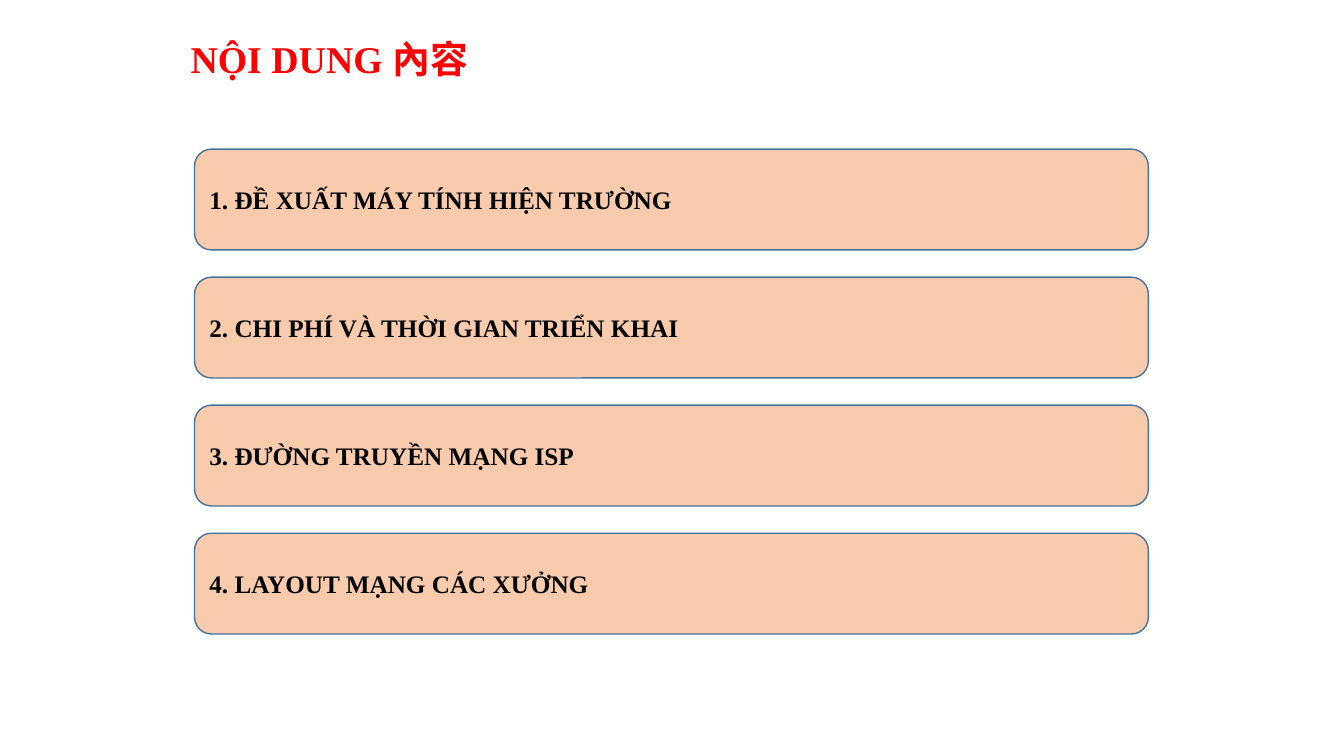
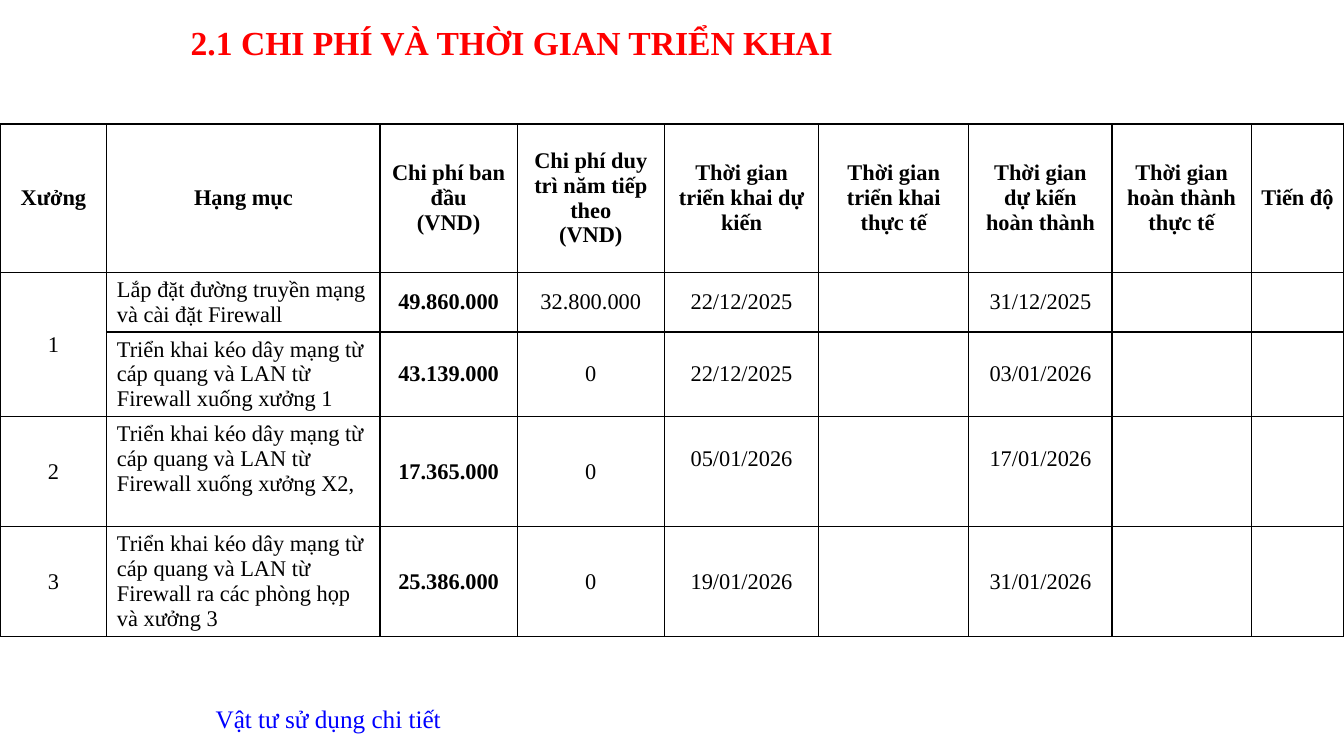
from lxml import etree
from pptx import Presentation
from pptx.dml.color import RGBColor
from pptx.enum.shapes import MSO_SHAPE
from pptx.enum.text import MSO_ANCHOR, MSO_AUTO_SIZE, PP_ALIGN
from pptx.oxml.ns import qn
from pptx.util import Pt

PX = 9144
FONT = "Times New Roman"
LEFT, CENTER = PP_ALIGN.LEFT, PP_ALIGN.CENTER
MIDDLE = MSO_ANCHOR.MIDDLE
ROUND = MSO_SHAPE.ROUNDED_RECTANGLE
COLORS = {"red": "FF0000", "black": "000000", "blue": "0000FF",
          "peach": "F8CBAD", "steel": "43739E"}


def style(frame, size, color, bold=False, align=LEFT):
    for para in frame.paragraphs:
        para.alignment = align
        para.font.name = FONT
        para.font.size = Pt(size)
        para.font.bold = bold
        para.font.color.rgb = RGBColor.from_string(COLORS[color])


def add_slide(title, top, width, size):
    slide = deck.slides.add_slide(deck.slide_layouts[5])
    head = slide.shapes.title
    head.left, head.top = 179 * PX, top * PX
    head.width, head.height = width * PX, 88 * PX
    frame = head.text_frame
    frame.text = title
    frame.auto_size = MSO_AUTO_SIZE.NONE
    frame.vertical_anchor = MIDDLE
    frame.paragraphs[0].line_spacing = 0.9
    style(frame, size, "red", True)
    return slide


deck = Presentation()
deck.slide_width, deck.slide_height = 1333 * PX, 750 * PX

slide = add_slide("NỘI DUNG 內容", 17, 1150, 27)
topics = ["ĐỀ XUẤT MÁY TÍNH HIỆN TRƯỜNG", "CHI PHÍ VÀ THỜI GIAN TRIỂN KHAI",
          "ĐƯỜNG TRUYỀN MẠNG ISP", "LAYOUT MẠNG CÁC XƯỞNG"]
for i, topic in enumerate(topics):
    box = slide.shapes.add_shape(ROUND, 193 * PX, (148 + 127 * i) * PX, 946 * PX, 100 * PX)
    box.shadow.inherit = False
    box.fill.solid()
    box.fill.fore_color.rgb = RGBColor.from_string(COLORS["peach"])
    box.line.color.rgb = RGBColor.from_string(COLORS["steel"])
    box.line.width = Pt(1)
    box.text_frame.text = f"{i + 1}. {topic}"
    box.text_frame.vertical_anchor = MIDDLE
    style(box.text_frame, 18, "black", True)

slide = add_slide("2.1 CHI PHÍ VÀ THỜI GIAN TRIỂN KHAI", 0, 1013, 24)
cols = [106, 271, 136, 146, 153, 149, 142, 138, 92]
rows = [147, 59, 84, 109, 109]
cable = "Triển khai kéo dây mạng từ cáp quang và LAN từ Firewall "
data = [
    ["Xưởng", "Hạng mục", "Chi phí ban đầu\n(VND)", "Chi phí duy trì năm tiếp theo\n(VND)",
     "Thời gian triển khai dự kiến", "Thời gian triển khai thực tế",
     "Thời gian dự kiến hoàn thành", "Thời gian hoàn thành thực tế", "Tiến độ"],
    ["1", "Lắp đặt đường truyền mạng và cài đặt Firewall",
     "49.860.000", "32.800.000", "22/12/2025", "", "31/12/2025", "", ""],
    ["", cable + "xuống xưởng 1",
     "43.139.000", "0", "22/12/2025", "", "03/01/2026", "", ""],
    ["2", cable + "xuống xưởng X2,",
     "17.365.000", "0", "05/01/2026", "", "17/01/2026", "", ""],
    ["3", cable + "ra các phòng họp và xưởng 3",
     "25.386.000", "0", "19/01/2026", "", "31/01/2026", "", ""],
]
table = slide.shapes.add_table(len(rows), len(cols), 0, 123 * PX,
                               sum(cols) * PX, sum(rows) * PX).table
for col, width in zip(table.columns, cols):
    col.width = width * PX
for row, height in zip(table.rows, rows):
    row.height = height * PX
for r, line in enumerate(data):
    for c, text in enumerate(line):
        cell = table.cell(r, c)
        cell.text = text
        cell.vertical_anchor = MIDDLE
        cell.margin_top = cell.margin_bottom = 5 * PX
        if r == 3 and c in (1, 4, 6):
            cell.margin_bottom = 30 * PX
        if r > 0 and c == 2:
            cell.margin_left = cell.margin_right = PX
        align = LEFT if r > 0 and c == 1 else CENTER
        style(cell.text_frame, 16, "black", r == 0 or c == 2, align)
        props = cell._tc.get_or_add_tcPr()
        for side in ("lnL", "lnR", "lnT", "lnB"):
            edge = etree.SubElement(props, qn("a:" + side), w=str(Pt(1)))
            fill = etree.SubElement(edge, qn("a:solidFill"))
            etree.SubElement(fill, qn("a:srgbClr"), val=COLORS["black"])
        cell.fill.background()
table.cell(1, 0).merge(table.cell(2, 0))

note = slide.shapes.add_textbox(204 * PX, 693 * PX, 246 * PX, 40 * PX)
note.text_frame.text = "Vật tư sử dụng chi tiết"
style(note.text_frame, 18, "blue")

deck.save("out.pptx")
